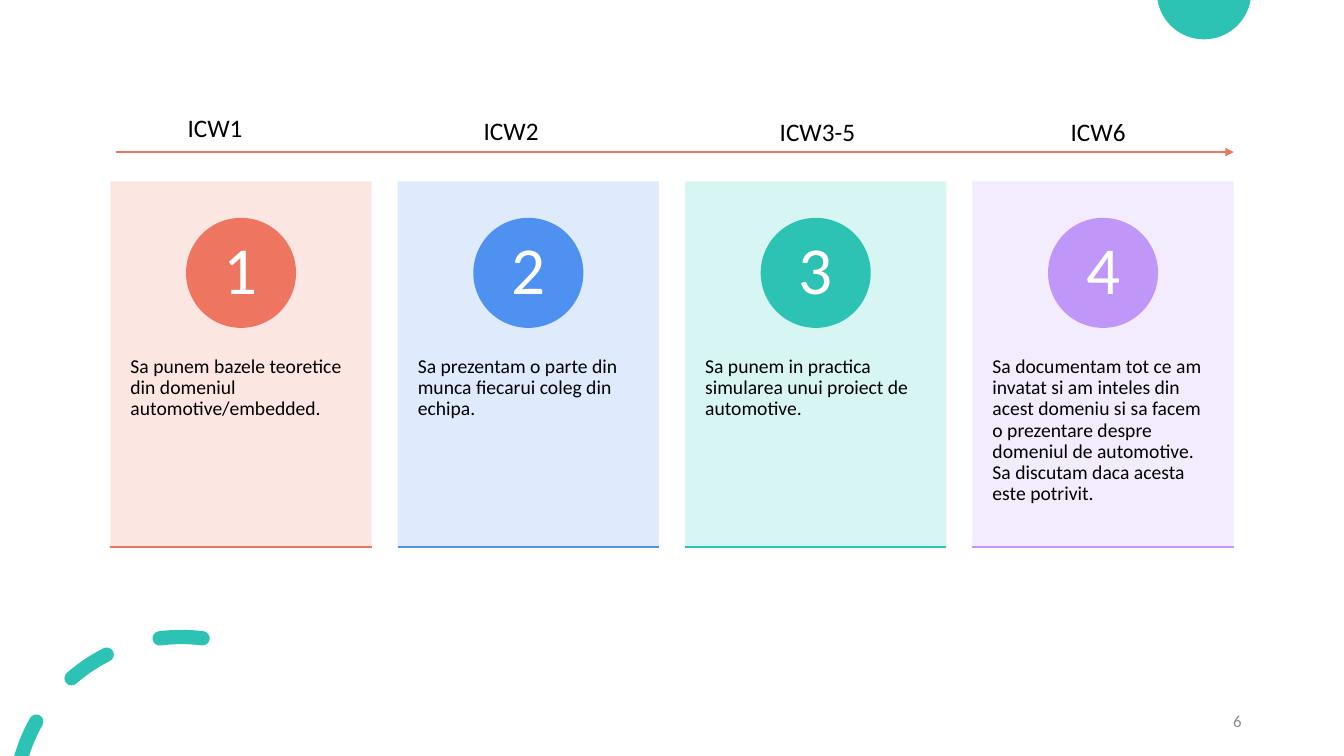
from dataclasses import dataclass
from math import cos, radians, sin, tan

from lxml.etree import SubElement
from pptx import Presentation
from pptx.dml.color import RGBColor
from pptx.enum.shapes import MSO_CONNECTOR, MSO_SHAPE
from pptx.enum.text import MSO_ANCHOR, MSO_AUTO_SIZE, PP_ALIGN
from pptx.oxml.ns import qn
from pptx.util import Pt

BLACK = RGBColor(0x00, 0x00, 0x00)
WHITE = RGBColor(0xFF, 0xFF, 0xFF)
GRAY = RGBColor(0x8C, 0x8C, 0x8C)
CORAL = RGBColor(0xEE, 0x76, 0x61)
BLUE = RGBColor(0x4E, 0x91, 0xF0)
TEAL = RGBColor(0x2C, 0xC3, 0xB4)
VIOLET = RGBColor(0xC0, 0x97, 0xF8)
PALE_CORAL = RGBColor(0xFC, 0xE4, 0xDF)
PALE_BLUE = RGBColor(0xDC, 0xE9, 0xFC)
PALE_TEAL = RGBColor(0xD3, 0xF5, 0xF2)
PALE_VIOLET = RGBColor(0xF2, 0xEA, 0xFE)

CARD_LEFT, CARD_TOP, CARD_WIDTH, CARD_HEIGHT = 78.8, 129.5, 186.7, 261.2
CARD_STEP = 205.25
BADGE_SIZE, BADGE_TOP = 78.6, 155.6
GOAL_TOP, GOAL_HEIGHT = 228.8, 157
TIMELINE_Y = 108.6

Point = tuple[float, float]


@dataclass(frozen=True)
class Stage:
    week: str
    week_left: float
    week_top: float
    week_width: float
    goal: str
    accent: RGBColor
    tint: RGBColor


STAGES = [
    Stage("ICW1", 126.9, 77, 70, "Sa punem bazele teoretice din domeniul automotive/embedded.",
          CORAL, PALE_CORAL),
    Stage("ICW2", 338.4, 78.5, 70, "Sa prezentam o parte din munca fiecarui coleg din echipa.",
          BLUE, PALE_BLUE),
    Stage("ICW3-5", 549.9, 79.5, 89, "Sa punem in practica simularea unui proiect de automotive.",
          TEAL, PALE_TEAL),
    Stage("ICW6", 757.7, 79.5, 75.6,
          "Sa documentam tot ce am invatat si am inteles din acest domeniu si sa facem "
          "o prezentare despre domeniul de automotive. Sa discutam daca acesta este potrivit.",
          VIOLET, PALE_VIOLET),
]


def write_text(shape, text: str, *, size: float, color: RGBColor = BLACK,
               align=PP_ALIGN.LEFT, anchor=MSO_ANCHOR.TOP, line_spacing: float = 1.0,
               inset_x: float = 7.2, inset_y: float = 3.6, grow: bool = False) -> None:
    frame = shape.text_frame
    frame.word_wrap = True
    frame.auto_size = MSO_AUTO_SIZE.SHAPE_TO_FIT_TEXT if grow else MSO_AUTO_SIZE.NONE
    frame.vertical_anchor = anchor
    frame.margin_left = frame.margin_right = Pt(inset_x)
    frame.margin_top = frame.margin_bottom = Pt(inset_y)
    paragraph = frame.paragraphs[0]
    paragraph.alignment = align
    paragraph.line_spacing = line_spacing
    run = paragraph.add_run()
    run.text = text
    run.font.name = "Calibri"
    run.font.size = Pt(size)
    run.font.color.rgb = color


def add_box(slide, left: float, top: float, width: float, height: float):
    return slide.shapes.add_textbox(Pt(left), Pt(top), Pt(width), Pt(height))


def paint(shape, color: RGBColor, opacity: int = 100) -> None:
    shape.shadow.inherit = False
    shape.fill.solid()
    shape.fill.fore_color.rgb = color
    shape.line.fill.background()
    if opacity < 100:
        rgb = shape.fill._xPr.find(qn("a:solidFill")).find(qn("a:srgbClr"))
        SubElement(rgb, qn("a:alpha")).set("val", str(opacity * 1000))


def add_rule(slide, left: float, right: float, y: float, color: RGBColor,
             weight: float, arrow: bool = False) -> None:
    rule = slide.shapes.add_connector(MSO_CONNECTOR.STRAIGHT, Pt(left), Pt(y), Pt(right), Pt(y))
    rule.line.color.rgb = color
    rule.line.width = Pt(weight)
    if arrow:
        SubElement(rule.line._get_or_add_ln(), qn("a:tailEnd")).set("type", "triangle")
    SubElement(rule._element.spPr, qn("a:effectLst"))


def on_circle(center: Point, radius: float, angle: float) -> Point:
    """Point at an angle in degrees clockwise from the top."""
    turn = radians(angle)
    return center[0] + radius * sin(turn), center[1] - radius * cos(turn)


def arc(center: Point, radius: float, start: float, end: float) -> list[Point]:
    """Start point, then two Bézier curves of three points each."""
    half = (end - start) / 2
    handle = 4 / 3 * tan(radians(half) / 4) * radius
    points = [on_circle(center, radius, start)]
    for angle in (start, start + half):
        x1, y1 = on_circle(center, radius, angle)
        x2, y2 = on_circle(center, radius, angle + half)
        a1, a2 = radians(angle), radians(angle + half)
        points += [(x1 + handle * cos(a1), y1 + handle * sin(a1)),
                   (x2 - handle * cos(a2), y2 - handle * sin(a2)), (x2, y2)]
    return points


def add_curved_outline(slide, contours: list[list[Point]]) -> None:
    """Draw closed contours, each a start point followed by Bézier triples."""
    scaled = [[(x * 100, y * 100) for x, y in contour] for contour in contours]
    builder = slide.shapes.build_freeform(*scaled[0][0], scale=Pt(0.01))
    for index, contour in enumerate(scaled):
        if index:
            builder.move_to(*contour[0])
        builder.add_line_segments(contour[1:], close=True)
    outline = builder.convert_to_shape()
    # Turn each three line segments into one curve
    segments = list(outline._element.iter(qn("a:lnTo")))
    for first, second, third in zip(segments[::3], segments[1::3], segments[2::3]):
        first.tag = qn("a:cubicBezTo")
        for segment in (second, third):
            first.append(segment[0])
            segment.getparent().remove(segment)
    paint(outline, TEAL)


def ring_dashes() -> list[list[Point]]:
    """Round-ended dashes of a ring; the first is cut by the slide's edge."""
    center, radius, half = (129.6, 574.1), 119.1, 5.1
    outer, inner = radius + half, radius - half
    dashes = []
    for start, end, cut in [(-74.05, -60.5, -72.6), (-41.2, -26.6, None), (-7.5, 7.3, None)]:
        contour = arc(center, outer, start, end)
        contour += arc(on_circle(center, radius, end), half, end, end + 180)[1:]
        contour += arc(center, inner, end, start if cut is None else cut)[1:]
        if cut is None:
            contour += arc(on_circle(center, radius, start), half, start + 180, start + 360)[1:]
        dashes.append(contour)
    return dashes


def add_card(slide, number: int, stage: Stage) -> None:
    left = CARD_LEFT + (number - 1) * CARD_STEP
    card = slide.shapes.add_shape(MSO_SHAPE.RECTANGLE, Pt(left), Pt(CARD_TOP),
                                  Pt(CARD_WIDTH), Pt(CARD_HEIGHT))
    paint(card, stage.tint, opacity=90)

    goal = add_box(slide, left, GOAL_TOP, CARD_WIDTH, GOAL_HEIGHT)
    write_text(goal, stage.goal, size=14, line_spacing=0.9, inset_x=14.4, inset_y=25.9)

    badge = slide.shapes.add_shape(MSO_SHAPE.OVAL, Pt(left + (CARD_WIDTH - BADGE_SIZE) / 2),
                                   Pt(BADGE_TOP), Pt(BADGE_SIZE), Pt(BADGE_SIZE))
    paint(badge, stage.accent)
    write_text(badge, str(number), size=48, color=WHITE, align=PP_ALIGN.CENTER,
               anchor=MSO_ANCHOR.MIDDLE, line_spacing=0.9, inset_x=6, inset_y=1)

    add_rule(slide, left, left + CARD_WIDTH, CARD_TOP + CARD_HEIGHT, stage.accent, 1)


def main() -> None:
    deck = Presentation()
    deck.slide_width, deck.slide_height = Pt(960), Pt(540)
    slide = deck.slides.add_slide(deck.slide_layouts[6])

    # Corner decorations
    add_curved_outline(slide, [arc((860, -5.6), 33.7, 99.57, 260.43)])
    add_curved_outline(slide, ring_dashes())

    # Page number
    page = add_box(slide, 678, 500.5, 216, 28.8)
    write_text(page, "6", size=12, color=GRAY, align=PP_ALIGN.RIGHT, anchor=MSO_ANCHOR.MIDDLE)

    # Stage cards
    for number, stage in enumerate(STAGES, start=1):
        add_card(slide, number, stage)

    # Timeline with its weeks
    add_rule(slide, 82.8, 881.3, TIMELINE_Y, CORAL, 1.5, arrow=True)
    for stage in STAGES:
        week = add_box(slide, stage.week_left, stage.week_top, stage.week_width, 29)
        write_text(week, stage.week, size=18, grow=True)

    deck.save("out.pptx")


if __name__ == "__main__":
    main()
